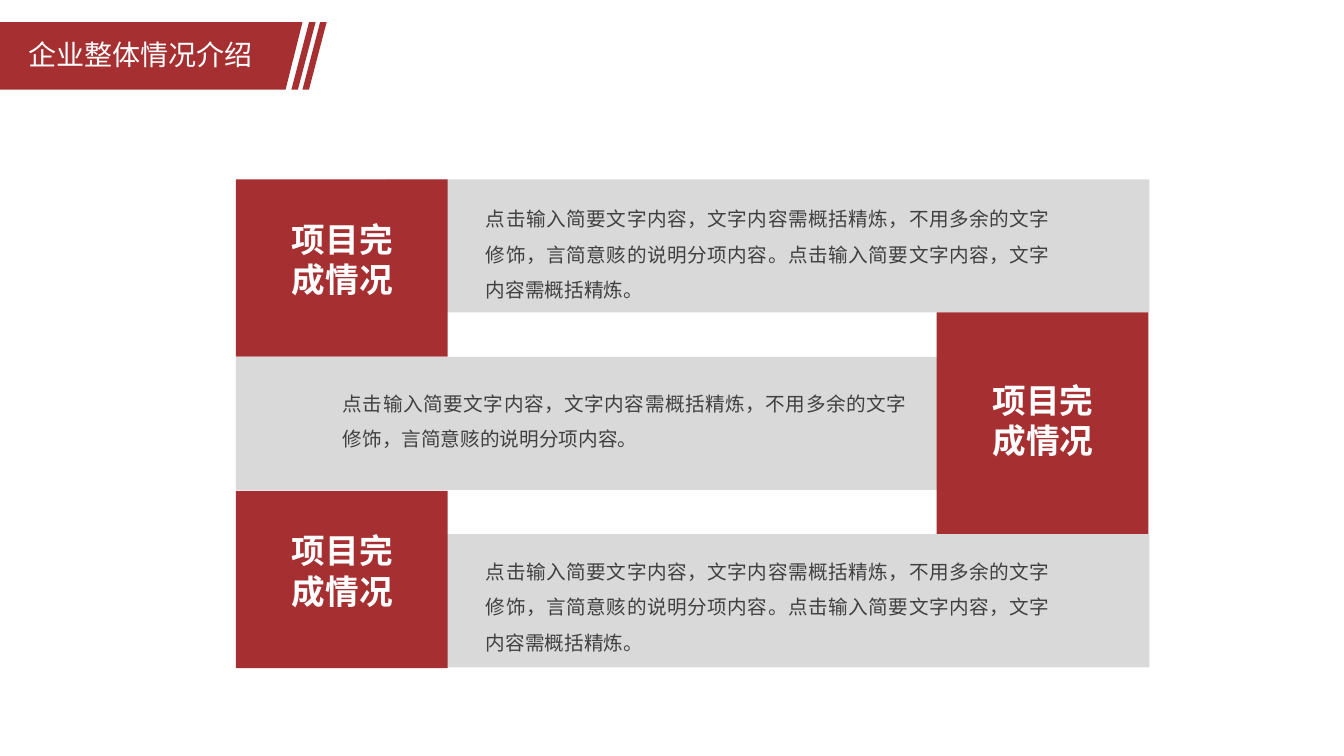
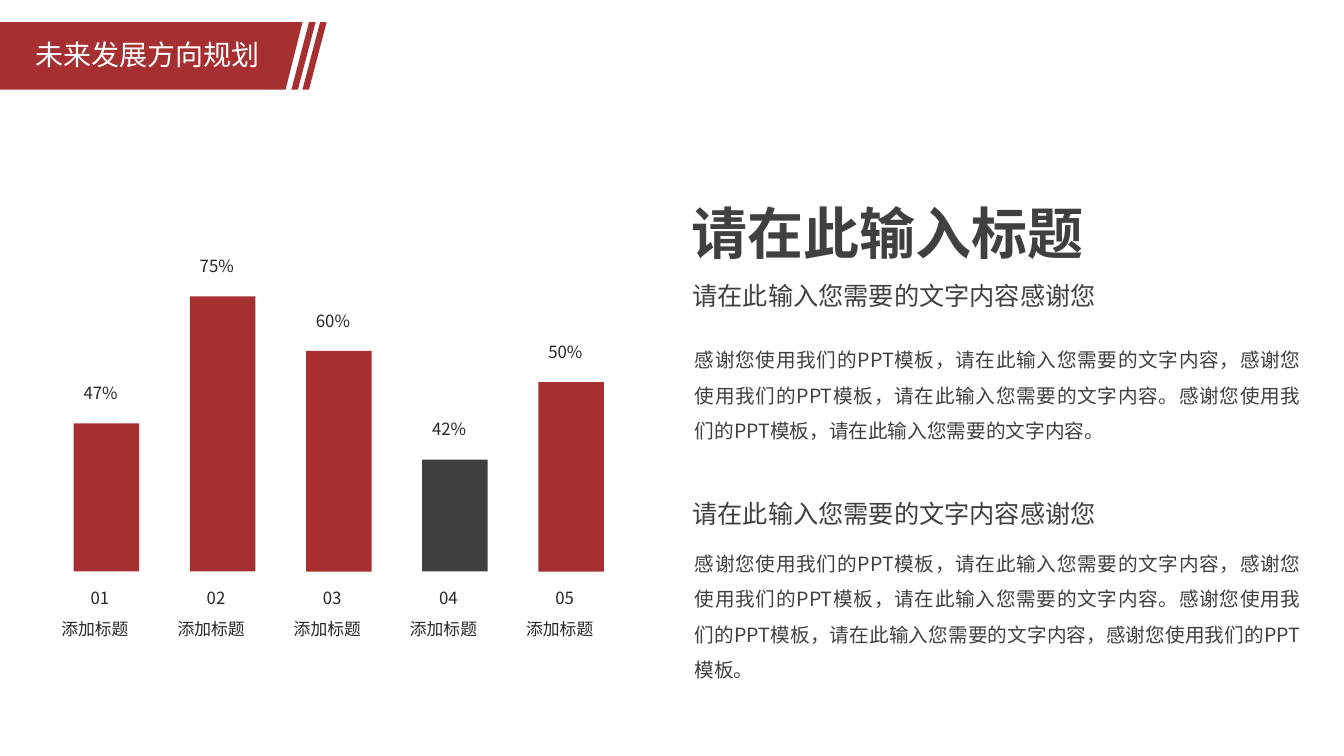
"""Build a two-slide company report: project status and future plans."""
import pptx
import pptx.dml.color
import pptx.enum.shapes
import pptx.enum.text
import pptx.util
from pptx.oxml import xmlchemy

Inches = pptx.util.Inches
SHAPE = pptx.enum.shapes.MSO_SHAPE
ALIGN = pptx.enum.text.PP_ALIGN
RED, GREY, DARK, INK, WHITE = "A63031", "D9D9D9", "404040", "262626", "FFFFFF"
FONT = "Noto Sans CJK SC"


def add_block(s, kind, x, y, w, h, color):
    sp = s.shapes.add_shape(kind, Inches(x), Inches(y), Inches(w), Inches(h))
    sp.shadow.inherit = False
    sp.fill.solid()
    sp.fill.fore_color.rgb = pptx.dml.color.RGBColor.from_string(color)
    sp.line.fill.background()
    return sp


def add_text(s, text, x, y, w, h, size, color, bold=False, align=ALIGN.LEFT,
             spacing=1.0, inset=True, font=FONT):
    tf = s.shapes.add_textbox(Inches(x), Inches(y), Inches(w), Inches(h)).text_frame
    tf.word_wrap = True
    if not inset:
        tf.margin_left = tf.margin_top = tf.margin_right = tf.margin_bottom = 0
    p = tf.paragraphs[0]
    p.alignment = align
    p.line_spacing = spacing
    r = p.add_run()
    r.text = text
    r.font.size = pptx.util.Pt(size)
    r.font.bold = bold
    r.font.color.rgb = pptx.dml.color.RGBColor.from_string(color)
    r.font.name = font
    ea = xmlchemy.OxmlElement("a:ea")
    ea.set("typeface", FONT)
    r.font._element.find(pptx.oxml.ns.qn("a:latin")).addnext(ea)


prs = pptx.Presentation()
prs.slide_width, prs.slide_height = Inches(13.33), Inches(7.5)

slides = []
for title, x in [("企业整体情况介绍", 0.18), ("未来发展方向规划", 0.25)]:
    s = prs.slides.add_slide(prs.slide_layouts[6])
    add_block(s, SHAPE.PARALLELOGRAM, -0.18, 0.22, 3.18, 0.67, RED)
    for stripe_x in (2.89, 3.0):
        stripe = add_block(s, SHAPE.PARALLELOGRAM, stripe_x, 0.22, 0.24, 0.67, RED)
        stripe.adjustments[0] = 0.73
    add_text(s, title, x, 0.32, 2.6, 0.44, 20, WHITE)
    slides.append(s)
status, plan = slides

short = "点击输入简要文字内容，文字内容需概括精炼，不用多余的文字修饰，言简意赅的说明分项内容。"
full = short + "点击输入简要文字内容，文字内容需概括精炼。"
rows = [
    (3.83, 1.78, 2.34, 1.78, 1.76, 2.12, 4.82, 1.94, full),
    (2.34, 3.54, 9.29, 3.10, 2.21, 3.72, 3.40, 3.77, short),
    (3.83, 5.30, 2.34, 4.87, 1.76, 5.21, 4.82, 5.44, full),
]
for band_x, band_y, tile_x, tile_y, tile_h, label_y, body_x, body_y, body in rows:
    add_block(status, SHAPE.RECTANGLE, band_x, band_y, 7.57, 1.32, GREY)
    add_block(status, SHAPE.RECTANGLE, tile_x, tile_y, 2.1, tile_h, RED)
    add_text(status, "项目完成情况", tile_x + 0.33, label_y, 1.45, 0.91, 24, WHITE,
             bold=True, align=ALIGN.CENTER)
    add_text(status, body, body_x, body_y, 5.59, 1.02, 14, DARK,
             align=ALIGN.JUSTIFY, spacing=1.5, inset=False, font="Arial")

add_text(plan, "请在此输入标题", 6.76, 1.92, 4.3, 0.77, 40, DARK, bold=True)
intro = ("感谢您使用我们的PPT模板，请在此输入您需要的文字内容，感谢您使用我们的PPT模板，"
         "请在此输入您需要的文字内容。感谢您使用我们的PPT模板，请在此输入您需要的文字内容")
sections = [(2.67, 3.34, intro + "。"),
            (4.83, 5.36, intro + "，感谢您使用我们的PPT模板。")]
for heading_y, body_y, body in sections:
    add_text(plan, "请在此输入您需要的文字内容感谢您", 6.77, heading_y, 4.42, 0.41,
             18, DARK, spacing=1.2)
    add_text(plan, body, 6.89, body_y, 6.01, 1.0, 14, DARK,
             align=ALIGN.JUSTIFY, spacing=1.5, inset=False)

base = 5.67
bars = [("47%", 1.47, RED), ("75%", 2.73, RED), ("60%", 2.19, RED),
        ("42%", 1.11, DARK), ("50%", 1.88, RED)]
for i, (value, height, color) in enumerate(bars):
    x = 0.73 + i * 4.61 / 4
    top = base - height
    add_block(plan, SHAPE.RECTANGLE, x, top, 0.65, height, color)
    for text, left, y, width in [(value, x, top - 0.45, 0.65),
                                 (f"{i + 1:02d}", x + 0.07, 5.78, 0.5),
                                 ("添加标题", x - 0.22, 6.09, 1.08)]:
        add_text(plan, text, left, y, width, 0.3, 12, INK, align=ALIGN.JUSTIFY)

prs.save("out.pptx")
